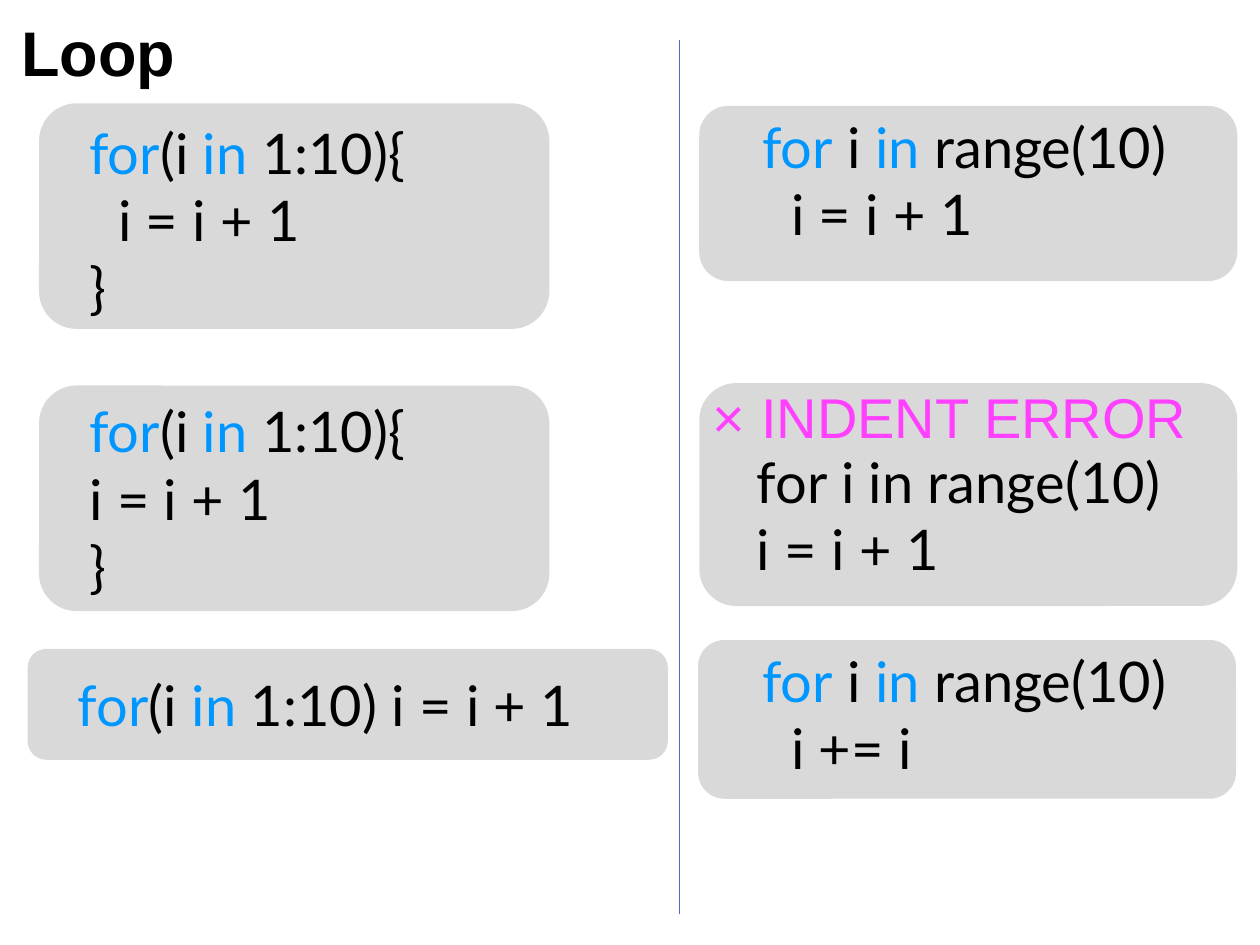
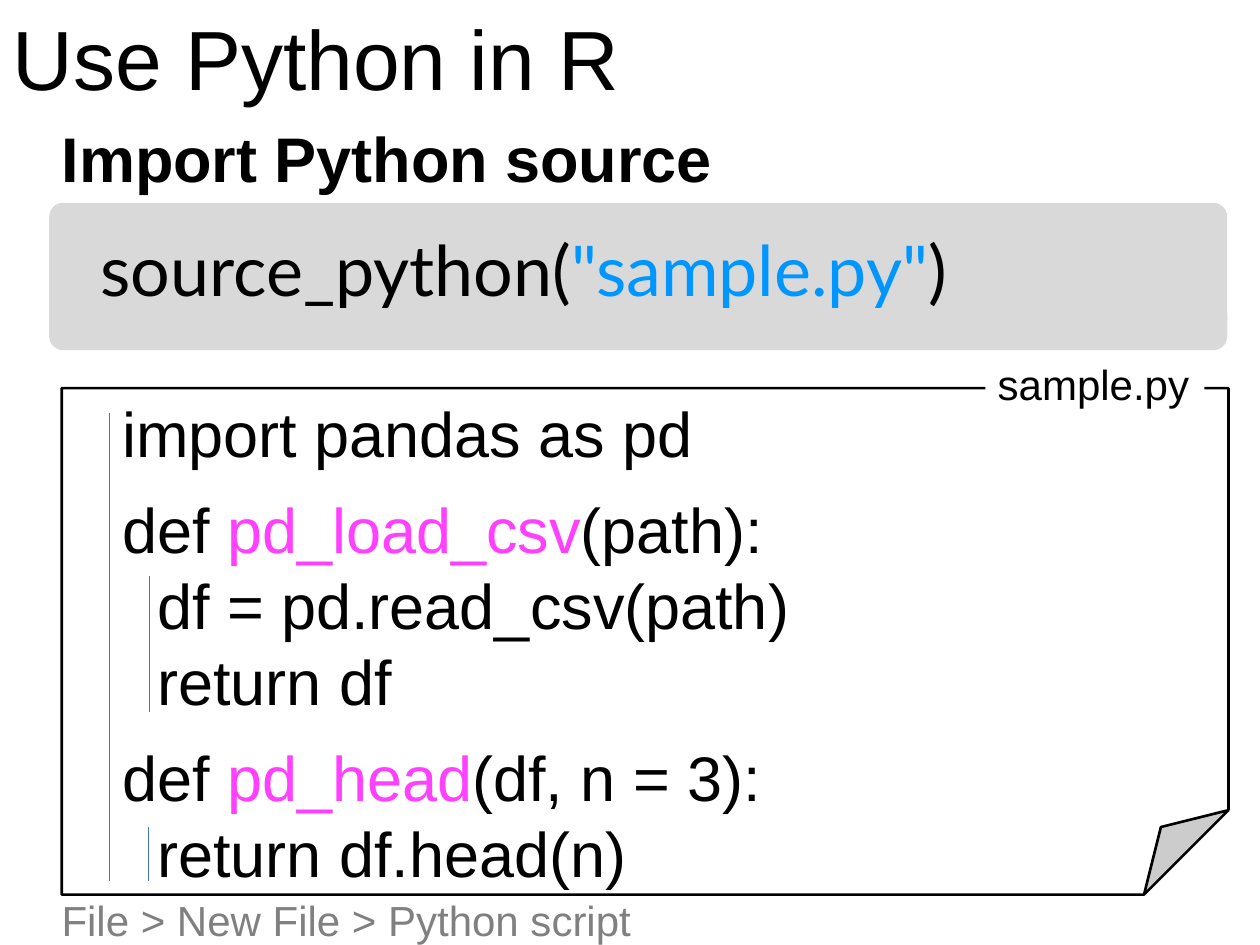
from lxml import etree
from pptx import Presentation
from pptx.dml.color import RGBColor
from pptx.enum.shapes import MSO_CONNECTOR, MSO_SHAPE
from pptx.enum.text import MSO_ANCHOR, MSO_AUTO_SIZE, PP_ALIGN
from pptx.oxml.ns import qn
from pptx.util import Inches, Pt

ROUNDED = MSO_SHAPE.ROUNDED_RECTANGLE
FOLDED = MSO_SHAPE.FOLDED_CORNER
STRAIGHT = MSO_CONNECTOR.STRAIGHT
TOP = MSO_ANCHOR.TOP
LEFT = PP_ALIGN.LEFT
GROW = MSO_AUTO_SIZE.SHAPE_TO_FIT_TEXT

BLACK = RGBColor(0x00, 0x00, 0x00)
WHITE = RGBColor(0xFF, 0xFF, 0xFF)
PANEL_GRAY = RGBColor(0xD9, 0xD9, 0xD9)
NOTE_GRAY = RGBColor(0x80, 0x80, 0x80)
KEYWORD_BLUE = RGBColor(0x00, 0x96, 0xFF)
ACCENT_PINK = RGBColor(0xFF, 0x40, 0xFF)
GUIDE_BLUE = RGBColor(0x44, 0x72, 0xC4)

CODE_FONT = "Lato"
TEXT_FONT = "Arial"
TITLE_ONLY = 5

FOR = ("for", KEYWORD_BLUE)
IN = ("in", KEYWORD_BLUE)
R_LOOP = [FOR, "(i ", IN, " 1:10){"]
PYTHON_LOOP = [FOR, " i ", IN, " range(10)"]
STEP = ["i = i + 1"]


class SlideBuilder:
    def __init__(self):
        self.deck = Presentation()
        self.deck.slide_width = Inches(10)
        self.deck.slide_height = Inches(7.5)
        self.page = None

    def new_page(self, title, area, size, bold=False):
        self.page = self.deck.slides.add_slide(self.deck.slide_layouts[TITLE_ONLY])
        box = self.page.shapes.title
        box.left, box.top, box.width, box.height = map(Inches, area)
        self.fill_text(box, [[title]], size, bold=bold)

    def fill_text(self, box, lines, size, font=TEXT_FONT, color=BLACK, bold=False,
                  wrap=False, indented=(), spaced=(), indent=0.0):
        frame = box.text_frame
        frame.word_wrap = wrap
        frame.auto_size = GROW
        frame.vertical_anchor = TOP
        for index, spans in enumerate(lines):
            para = frame.add_paragraph() if index else frame.paragraphs[0]
            para.alignment = LEFT
            if index in indented:
                para._p.get_or_add_pPr().set("marL", str(Inches(indent)))
            if index in spaced:
                para.space_before = Pt(12)
            for part in spans:
                words, shade = (part, color) if isinstance(part, str) else part
                span = para.add_run()
                span.text = words
                span.font.name = font
                span.font.size = Pt(size)
                span.font.bold = bold
                span.font.color.rgb = shade

    def text(self, area, lines, size, **style):
        box = self.page.shapes.add_textbox(*map(Inches, area))
        self.fill_text(box, lines, size, **style)
        return box

    def code(self, area, lines, size=32, indented=()):
        self.text(area, lines, size, font=CODE_FONT, indented=indented, indent=0.23)

    def shape(self, kind, area, fill, outline=None):
        shape = self.page.shapes.add_shape(kind, *map(Inches, area))
        shape.shadow.inherit = False
        shape.fill.solid()
        shape.fill.fore_color.rgb = fill
        if outline is None:
            shape.line.fill.background()
        else:
            shape.line.color.rgb = outline
            shape.line.width = Pt(1.5)
        return shape

    def panel(self, *area):
        return self.shape(ROUNDED, area, PANEL_GRAY)

    def guide(self, x, top, bottom):
        line = self.page.shapes.add_connector(
            STRAIGHT, Inches(x), Inches(top), Inches(x), Inches(bottom))
        line.line.color.rgb = GUIDE_BLUE
        line.line.width = Pt(0.5)
        etree.SubElement(line._element.spPr, qn("a:effectLst"))


def build_loop_page(builder):
    builder.new_page("Loop", (0.07, 0.06, 1.49, 0.71), 36, bold=True)
    for top in (0.82, 3.06):
        builder.panel(0.31, top, 4.05, 1.79)
    builder.panel(0.22, 5.15, 5.08, 0.88)
    for left, top, height in ((5.55, 0.84, 1.39), (5.55, 3.04, 1.77), (5.54, 5.08, 1.26)):
        builder.panel(left, top, 4.27, height)
    builder.guide(5.39, 0.32, 7.25)

    for top, indented in ((0.89, (1,)), (3.1, ())):
        builder.code((0.61, top, 3.02, 1.72), [R_LOOP, STEP, ["}"]], indented=indented)
    builder.code((0.52, 5.27, 4.81, 0.64), [[FOR, "(i ", IN, " 1:10) i = i + 1"]])

    for top, body in ((0.84, STEP), (5.08, ["i += i"])):
        builder.code((5.95, top, 3.74, 1.18), [PYTHON_LOOP, body], indented=(1,))
    builder.code((5.91, 3.5, 3.74, 1.18), [["for i in range(10)"], STEP])
    builder.text((5.56, 2.99, 4.31, 0.64), [["× INDENT ERROR"]], 32, color=ACCENT_PINK)


def build_import_page(builder):
    builder.new_page("Use Python in R", (0, 0, 5.26, 0.91), 48)
    builder.panel(0.39, 1.61, 9.35, 1.17).adjustments[0] = 0.095
    builder.text((0.39, 0.9, 5.42, 0.71), [["Import Python source"]], 36, bold=True)
    builder.code((0.7, 1.75, 6.93, 0.77),
                 [["source_python(", ('"sample.py"', KEYWORD_BLUE), ")"]], 40)

    builder.shape(FOLDED, (0.49, 3.08, 9.26, 4.02), WHITE, BLACK)
    file_label = builder.text((7.82, 2.8, 1.74, 0.5), [["sample.py"]], 24)
    file_label.fill.solid()
    file_label.fill.fore_color.rgb = WHITE

    script_lines = [
        ["import pandas as pd"],
        ["def ", ("pd_load_csv", ACCENT_PINK), "(path):"],
        ["df = pd.read_csv(path)"],
        ["return df"],
        ["def ", ("pd_head", ACCENT_PINK), "(df, n = 3):"],
        ["return df.head(n)"],
    ]
    builder.text((0.87, 3.08, 8.51, 4.07), script_lines, 36, wrap=True,
                 indented=(2, 3, 5), spaced=(1, 4), indent=0.28)
    for x, top, bottom in ((0.87, 3.28, 6.99), (1.19, 4.57, 5.65), (1.18, 6.56, 6.99)):
        builder.guide(x, top, bottom)
    builder.text((0.39, 7.05, 4.77, 0.5), [["File > New File > Python script"]], 24,
                 color=NOTE_GRAY)


def main():
    builder = SlideBuilder()
    build_loop_page(builder)
    build_import_page(builder)
    builder.deck.save("out.pptx")


if __name__ == "__main__":
    main()
